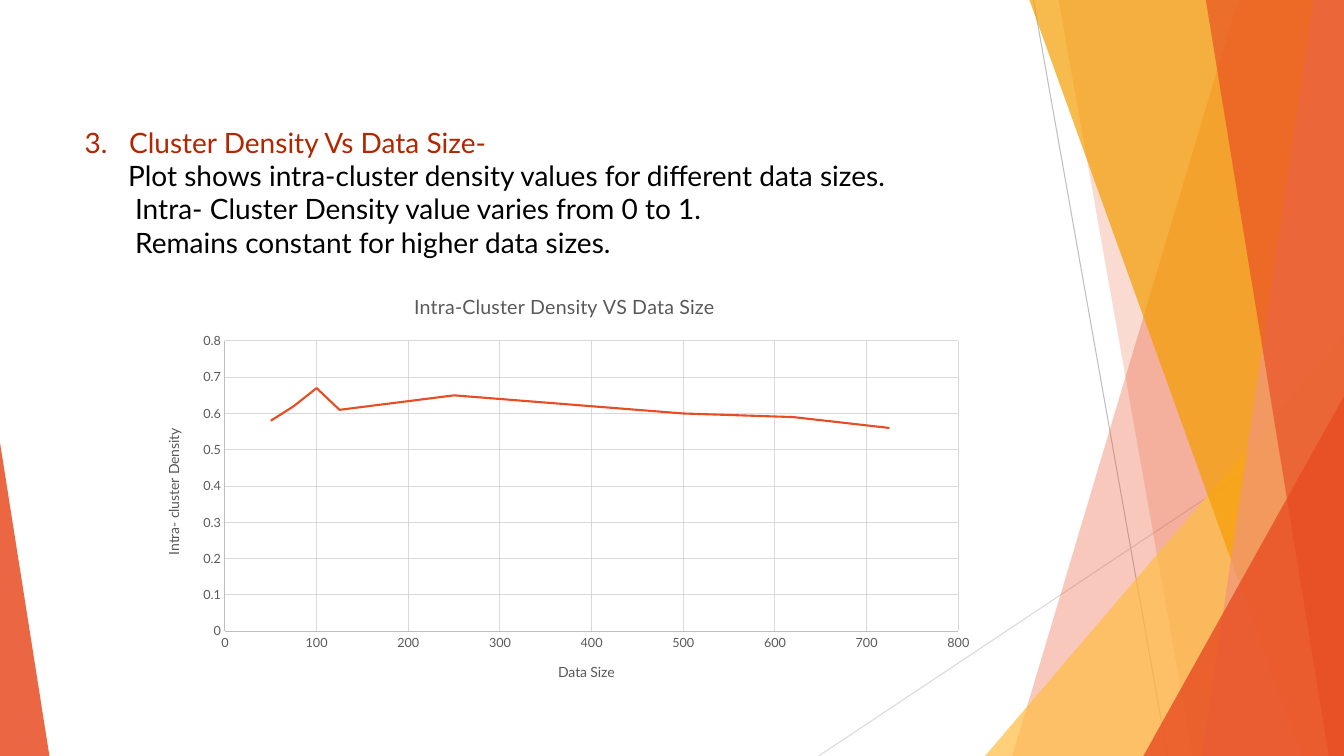
from lxml import etree
from pptx import Presentation
from pptx.chart.data import XyChartData
from pptx.dml.color import RGBColor
from pptx.enum import chart as chart_enum, shapes, text
from pptx.oxml import parse_xml
from pptx.oxml.ns import nsdecls, qn
from pptx.util import Inches, Pt

WIDTH, HEIGHT = 13.33, 7.5
FONT = "Lato"
RED = RGBColor(0xE8, 0x4C, 0x22)
SALMON = RGBColor(0xF1, 0x94, 0x7A)
AMBER = RGBColor(0xF4, 0x9D, 0x00)
YELLOW = RGBColor(0xFF, 0xBD, 0x47)
RUST = RGBColor(0xB2, 0x26, 0x00)
BLACK = RGBColor(0, 0, 0)
GREY = RGBColor(0x59, 0x59, 0x59)
AXIS_GREY = RGBColor(0xBF, 0xBF, 0xBF)
GRID_GREY = RGBColor(0xD9, 0xD9, 0xD9)

DENSITY = [(50, 0.58), (75, 0.62), (100, 0.67), (125, 0.61),
           (250, 0.65), (500, 0.6), (620, 0.59), (725, 0.56)]


def write(paragraph, words, size, color, indent=None, hanging=0):
    """Add one formatted run, with an optional left indent in inches."""
    run = paragraph.add_run()
    run.text = words
    run.font.name, run.font.size, run.font.bold = FONT, Pt(size), False
    run.font.color.rgb = color
    if indent is not None:
        properties = paragraph._p.get_or_add_pPr()
        properties.set("marL", str(Inches(indent)))
        properties.set("indent", str(-Inches(hanging)))
        etree.SubElement(properties, qn("a:buNone"))


def paint(shape, color, opacity):
    """Fill a shape with a translucent colour, without outline or shadow."""
    shape.shadow.inherit = False
    shape.fill.solid()
    shape.fill.fore_color.rgb = color
    shape.line.fill.background()
    solid = shape._element.spPr.find(qn("a:solidFill"))
    etree.SubElement(solid[0], qn("a:alpha"), val=str(opacity * 1000))


def add_ray(slide, start, end, color):
    line = slide.shapes.add_connector(
        shapes.MSO_CONNECTOR.STRAIGHT, *map(Inches, start + end))
    line.line.color.rgb, line.line.width = color, Pt(0.75)
    etree.SubElement(line._element.spPr, qn("a:effectLst"))


def add_band(slide, top_x, bottom_x, color, opacity):
    """Full-height band from a slanted edge to the slide's right side."""
    builder = slide.shapes.build_freeform(Inches(top_x), 0)
    corners = [(WIDTH, 0), (WIDTH, HEIGHT), (bottom_x, HEIGHT)]
    builder.add_line_segments([(Inches(x), Inches(y)) for x, y in corners])
    paint(builder.convert_to_shape(), color, opacity)


def add_corner(slide, left, width, height, apex, color, opacity):
    """Right triangle standing on the slide's bottom edge."""
    triangle = slide.shapes.add_shape(
        shapes.MSO_SHAPE.ISOSCELES_TRIANGLE, Inches(left),
        Inches(HEIGHT - height), Inches(width), Inches(height))
    triangle.adjustments[0] = apex
    paint(triangle, color, opacity)


def add_facets(slide):
    # Thin rays
    add_ray(slide, (10.25, 0), (11.58, HEIGHT), AXIS_GREY)
    add_ray(slide, (WIDTH, 4.03), (8.12, HEIGHT), GRID_GREY)
    # Overlapping facets, back to front
    add_band(slide, 12.28, 10.04, RED, 30)
    add_band(slide, 10.5, 11.83, RED, 20)
    add_corner(slide, 9.77, 3.56, 4.17, 1, YELLOW, 72)
    add_band(slide, 10.21, 12.91, AMBER, 70)
    add_band(slide, 13.03, 11.92, SALMON, 70)
    add_band(slide, 11.96, 13.18, RED, 65)
    add_corner(slide, 11.34, 1.99, 3.57, 1, RED, 80)
    # Left corner
    add_corner(slide, 0, 0.49, 3.11, 0, RED, 85)


def place(placeholder, left, top, width, height):
    placeholder.left, placeholder.top = Inches(left), Inches(top)
    placeholder.width, placeholder.height = Inches(width), Inches(height)
    frame = placeholder.text_frame
    frame.word_wrap = True
    frame.auto_size = text.MSO_AUTO_SIZE.NONE
    frame.vertical_anchor = text.MSO_ANCHOR.TOP
    return frame


def format_paragraph(paragraph):
    paragraph.alignment = text.PP_ALIGN.LEFT
    paragraph.line_spacing = 1.0
    paragraph.space_before = paragraph.space_after = Pt(0)


def add_heading(slide, left, top, width, height):
    line_height = 0.33
    # Numbered title
    frame = place(slide.shapes.title, left, top, width, line_height + 0.1)
    format_paragraph(frame.paragraphs[0])
    write(frame.paragraphs[0], "3.\tCluster Density Vs Data Size-", 20, RUST,
          indent=0.44, hanging=0.44)
    # Explanation
    frame = place(slide.placeholders[1], left, top + line_height,
                  width, height - line_height)
    lines = [("Plot shows intra-cluster density values for different data sizes.", 0.43),
             ("Intra- Cluster Density value varies from 0 to 1.", 0.5),
             ("Remains constant for higher data sizes.", 0.5)]
    for number, (words, indent) in enumerate(lines):
        paragraph = frame.add_paragraph() if number else frame.paragraphs[0]
        format_paragraph(paragraph)
        write(paragraph, words, 20, BLACK, indent=indent)


def format_axis(axis, title, maximum, step, number_format):
    axis.minimum_scale, axis.maximum_scale, axis.major_unit = 0, maximum, step
    axis.major_tick_mark = axis.minor_tick_mark = chart_enum.XL_TICK_MARK.NONE
    axis.has_major_gridlines = True
    for line, color in ((axis.format.line, AXIS_GREY),
                        (axis.major_gridlines.format.line, GRID_GREY)):
        line.color.rgb, line.width = color, Pt(0.75)
    labels = axis.tick_labels
    labels.number_format, labels.number_format_is_linked = number_format, False
    labels.font.name, labels.font.size = FONT, Pt(9)
    labels.font.color.rgb = GREY
    write(axis.axis_title.text_frame.paragraphs[0], title, 10, GREY)


def add_density_chart(slide, left, top, width, height):
    data = XyChartData()
    points = data.add_series("Series 1")
    for size, density in DENSITY:
        points.add_data_point(size, density)
    chart = slide.shapes.add_chart(
        chart_enum.XL_CHART_TYPE.XY_SCATTER_LINES_NO_MARKERS,
        *map(Inches, (left, top, width, height)), data).chart
    chart.font.name, chart.font.size = FONT, Pt(10)
    chart.has_legend = False
    write(chart.chart_title.text_frame.paragraphs[0],
          "Intra-Cluster Density VS Data Size", 14, GREY)
    chart.chart_title.include_in_layout = False
    format_axis(chart.category_axis, "Data Size", 800, 100, "General")
    format_axis(chart.value_axis, "Intra- cluster Density", 0.8, 0.1, "General")
    # Density line
    plot = chart.plots[0]
    plot.vary_by_categories = False
    series = plot.series[0]
    series.smooth = False
    series.marker.style = chart_enum.XL_MARKER_STYLE.NONE
    series.format.line.color.rgb, series.format.line.width = RED, Pt(1.5)
    # Inner plot area as fractions of the chart
    area = chart._chartSpace.chart.plotArea
    for layout in area.findall(qn("c:layout")):
        area.remove(layout)
    area.insert(0, parse_xml(
        f'<c:layout {nsdecls("c")}><c:manualLayout>'
        '<c:layoutTarget val="inner"/><c:xMode val="edge"/><c:yMode val="edge"/>'
        '<c:x val="0.098"/><c:y val="0.154"/><c:w val="0.868"/><c:h val="0.679"/>'
        '</c:manualLayout></c:layout>'))


def main():
    presentation = Presentation()
    presentation.slide_width = Inches(WIDTH)
    presentation.slide_height = Inches(HEIGHT)
    slide = presentation.slides.add_slide(presentation.slide_layouts[1])
    add_facets(slide)
    add_heading(slide, 0.74, 1.19, 9.4, 1.44)
    add_density_chart(slide, 1.41, 2.73, 8.38, 4.24)
    presentation.save("out.pptx")


if __name__ == "__main__":
    main()
